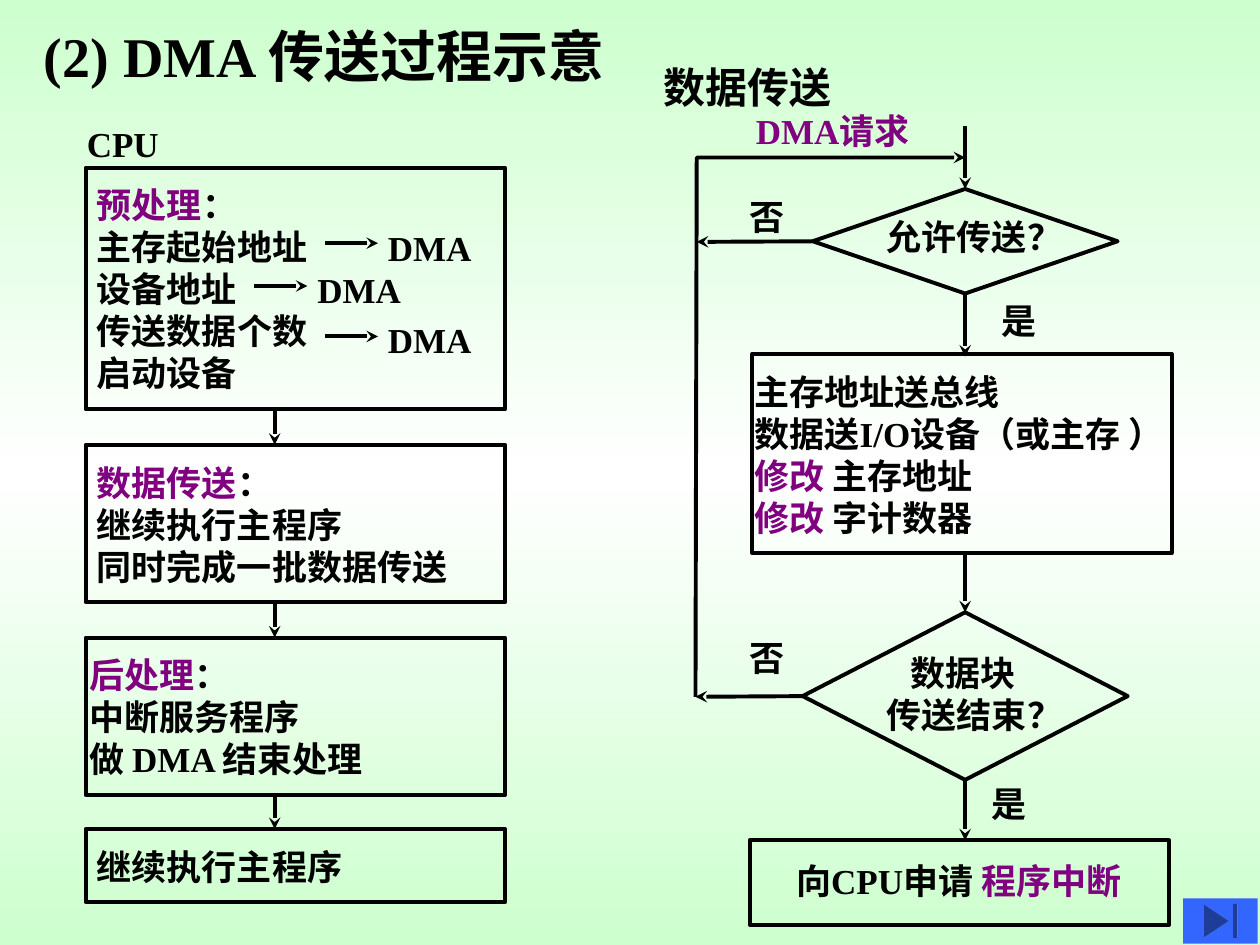
from copy import deepcopy
from dataclasses import dataclass

from lxml.etree import SubElement
from pptx import Presentation
from pptx.dml.color import RGBColor
from pptx.enum.shapes import MSO_CONNECTOR, MSO_SHAPE
from pptx.enum.text import MSO_AUTO_SIZE
from pptx.oxml.ns import qn
from pptx.util import Inches, Pt


@dataclass(frozen=True)
class Theme:
    font: str = "Times New Roman"
    ink: str = "000000"
    accent: str = "800080"
    edge: str = "CDFFCE"
    middle: str = "FFFFFF"
    button: str = "3366FF"
    title: int = 32
    heading: int = 24
    body: int = 20
    line: float = 2.25


THEME = Theme()
TOP, LEFT, BOTTOM = 0, 1, 2
CPU_LEFT, CPU_ARROW_X = 0.68, 2.18
DMA_X, RETURN_X = 7.66, 5.53
BOX_WIDTH = 3.33


def rgb(color):
    return RGBColor.from_string(color)


def paint_background(page):
    fill = page.background.fill
    fill.gradient()
    fill.gradient_angle = 90
    first = page.element.xpath(".//a:gs")[0]
    first.addnext(deepcopy(first))
    colors = (THEME.edge, THEME.middle, THEME.edge)
    for stop, position, color in zip(fill.gradient_stops, (0, 0.5, 1), colors):
        stop.position = position
        stop.color.rgb = rgb(color)


def add_text(page, left, top, width, height, *lines, size=THEME.body,
             color=THEME.ink, wrap=False, first_indent=0):
    """Each line is a string or a list of (text, colour) spans."""
    box = page.shapes.add_textbox(*map(Inches, (left, top, width, height)))
    frame = box.text_frame
    frame.word_wrap = wrap
    frame.auto_size = MSO_AUTO_SIZE.SHAPE_TO_FIT_TEXT
    for index, line in enumerate(lines):
        para = frame.add_paragraph() if index else frame.paragraphs[0]
        for text, span_color in [(line, color)] if isinstance(line, str) else line:
            span = para.add_run()
            span.text = text
            span.font.name = THEME.font
            span.font.size = Pt(size)
            span.font.bold = True
            span.font.color.rgb = rgb(span_color)
    if first_indent:
        properties = frame.paragraphs[0]._p.get_or_add_pPr()
        properties.set("marL", str(Inches(first_indent)))


def draw_line(shape, arrow=False):
    shape.line.color.rgb = rgb(THEME.ink)
    shape.line.width = Pt(THEME.line)
    if arrow:
        SubElement(shape.line._get_or_add_ln(), qn("a:tailEnd"), type="stealth")


def add_outline(page, kind, left, top, width, height):
    shape = page.shapes.add_shape(kind, *map(Inches, (left, top, width, height)))
    shape.shadow.inherit = False
    shape.fill.background()
    draw_line(shape)
    return shape


def add_arrow(page, start, end, begin=None, finish=None):
    """begin and finish are optional (shape, side) pairs to join."""
    arrow = page.shapes.add_connector(
        MSO_CONNECTOR.STRAIGHT, *map(Inches, (*start, *end)))
    draw_line(arrow, arrow=True)
    SubElement(arrow._element.spPr, qn("a:effectLst"))
    if begin:
        arrow.begin_connect(*begin)
    if finish:
        arrow.end_connect(*finish)


def add_return_path(page, *points):
    corners = [tuple(map(Inches, point)) for point in points]
    builder = page.shapes.build_freeform(*corners[0], scale=1.0)
    builder.add_line_segments(corners[1:], close=False)
    path = builder.convert_to_shape()
    path.shadow.inherit = False
    path.fill.background()
    draw_line(path, arrow=True)


def add_end_button(page):
    button = page.shapes.add_shape(
        MSO_SHAPE.ACTION_BUTTON_END,
        *map(Inches, (9.39, 7.13, 0.59, 0.36)))
    button.shadow.inherit = False
    button.fill.solid()
    button.fill.fore_color.rgb = rgb(THEME.button)
    button.line.fill.background()


def labelled(heading):
    return [(heading, THEME.accent), ("：", THEME.ink)]


def add_cpu_flow(page):
    add_text(page, 0.59, 0.92, 0.78, 0.44, "CPU")
    boxes = [(1.33, 1.92), (3.53, 1.25), (5.06, 1.25), (6.58, 0.58)]
    for top, height in boxes:
        add_outline(page, MSO_SHAPE.RECTANGLE, CPU_LEFT, top, BOX_WIDTH, height)
    for (top, height), (next_top, _) in zip(boxes, boxes[1:]):
        add_arrow(page, (CPU_ARROW_X, top + height), (CPU_ARROW_X, next_top))

    add_text(page, 0.67, 1.41, 1.88, 1.77, labelled("预处理"), "主存起始地址",
             "设备地址", "传送数据个数", "启动设备")
    add_text(page, 0.67, 3.61, 3, 1.1, labelled("数据传送"),
             "继续执行主程序", "同时完成一批数据传送")
    add_text(page, 0.61, 5.14, 2.54, 1.1, labelled("后处理"),
             "中断服务程序", "做 DMA 结束处理")
    add_text(page, 0.67, 6.66, 2.17, 0.44, "继续执行主程序")

    for start, y, text_top in ((2.58, 1.93, 1.75), (2.02, 2.27, 2.08),
                               (2.58, 2.67, 2.48)):
        add_arrow(page, (start, y), (start + 0.42, y))
        add_text(page, start + 0.4, text_top, 0.9, 0.44, "DMA")


def add_transfer_flow(page):
    add_text(page, 5.17, 0.44, 1.55, 0.5, "数据传送", size=THEME.heading)
    add_text(page, 5.9, 0.82, 1.51, 0.44, "DMA请求", color=THEME.accent)

    allowed = add_outline(page, MSO_SHAPE.DIAMOND, 6.45, 1.5, 2.42, 0.83)
    add_outline(page, MSO_SHAPE.RECTANGLE, 5.97, 2.81, BOX_WIDTH, 1.58)
    finished = add_outline(page, MSO_SHAPE.DIAMOND, 6.37, 4.86, 2.58, 1.33)
    add_outline(page, MSO_SHAPE.RECTANGLE, 5.95, 6.67, BOX_WIDTH, 0.67)

    add_text(page, 6.94, 1.66, 1.61, 0.44, "允许传送？")
    add_text(page, 5.89, 2.89, 3.6, 1.44, "主存地址送总线",
             "数据送I/O设备（或主存 ）",
             *([("修改", THEME.accent), (target, THEME.ink)]
               for target in (" 主存地址", " 字计数器")))
    add_text(page, 6.94, 5.12, 1.61, 0.77, "数据块", "传送结束？",
             first_indent=0.19)
    add_text(page, 6.22, 6.77, 2.97, 0.44,
             [("向CPU申请 ", THEME.ink), ("程序中断", THEME.accent)])

    add_arrow(page, (DMA_X, 1), (DMA_X, 1.5), finish=(allowed, TOP))
    add_arrow(page, (DMA_X, 2.33), (DMA_X, 2.83), begin=(allowed, BOTTOM))
    add_arrow(page, (DMA_X, 4.39), (DMA_X, 4.86), finish=(finished, TOP))
    add_arrow(page, (DMA_X, 6.19), (DMA_X, 6.67), begin=(finished, BOTTOM))
    add_arrow(page, (6.45, 1.92), (RETURN_X, 1.92), begin=(allowed, LEFT))
    add_arrow(page, (6.37, 5.53), (5.52, 5.53), begin=(finished, LEFT))
    add_return_path(page, (5.52, 5.53), (RETURN_X, 1.25), (DMA_X, 1.25))

    for answer, left, top in (("否", 5.85, 1.5), ("否", 5.85, 5),
                              ("是", 7.85, 2.33), ("是", 7.77, 6.16)):
        add_text(page, left, top, 0.49, 0.44, answer)


def main():
    deck = Presentation()
    deck.slide_width, deck.slide_height = Inches(10), Inches(7.5)
    page = deck.slides.add_slide(deck.slide_layouts[6])
    paint_background(page)
    add_text(page, 0.25, 0.12, 5.08, 0.64, "(2) DMA 传送过程示意",
             size=THEME.title, wrap=True)
    add_cpu_flow(page)
    add_transfer_flow(page)
    add_end_button(page)
    deck.save("out.pptx")


if __name__ == "__main__":
    main()
